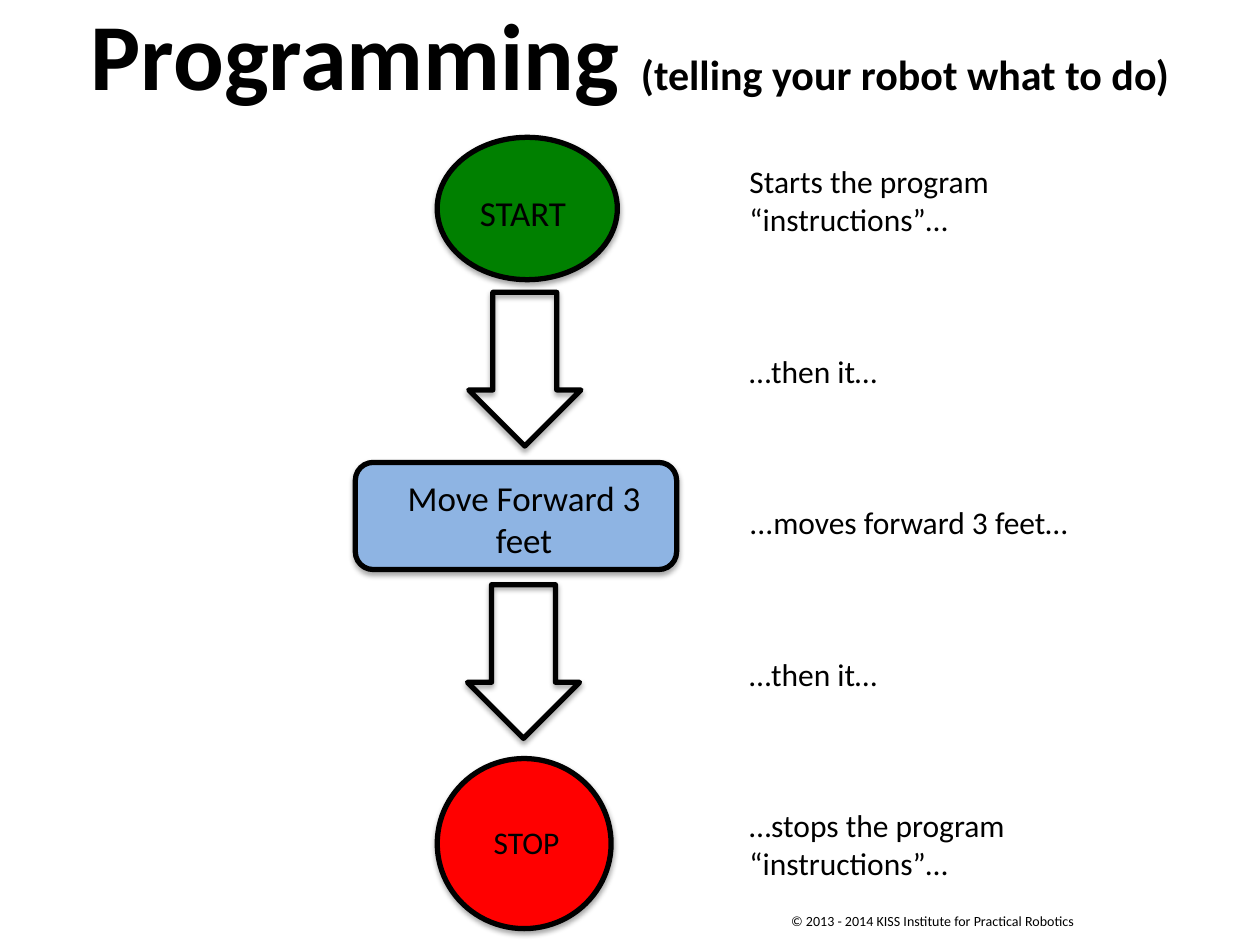
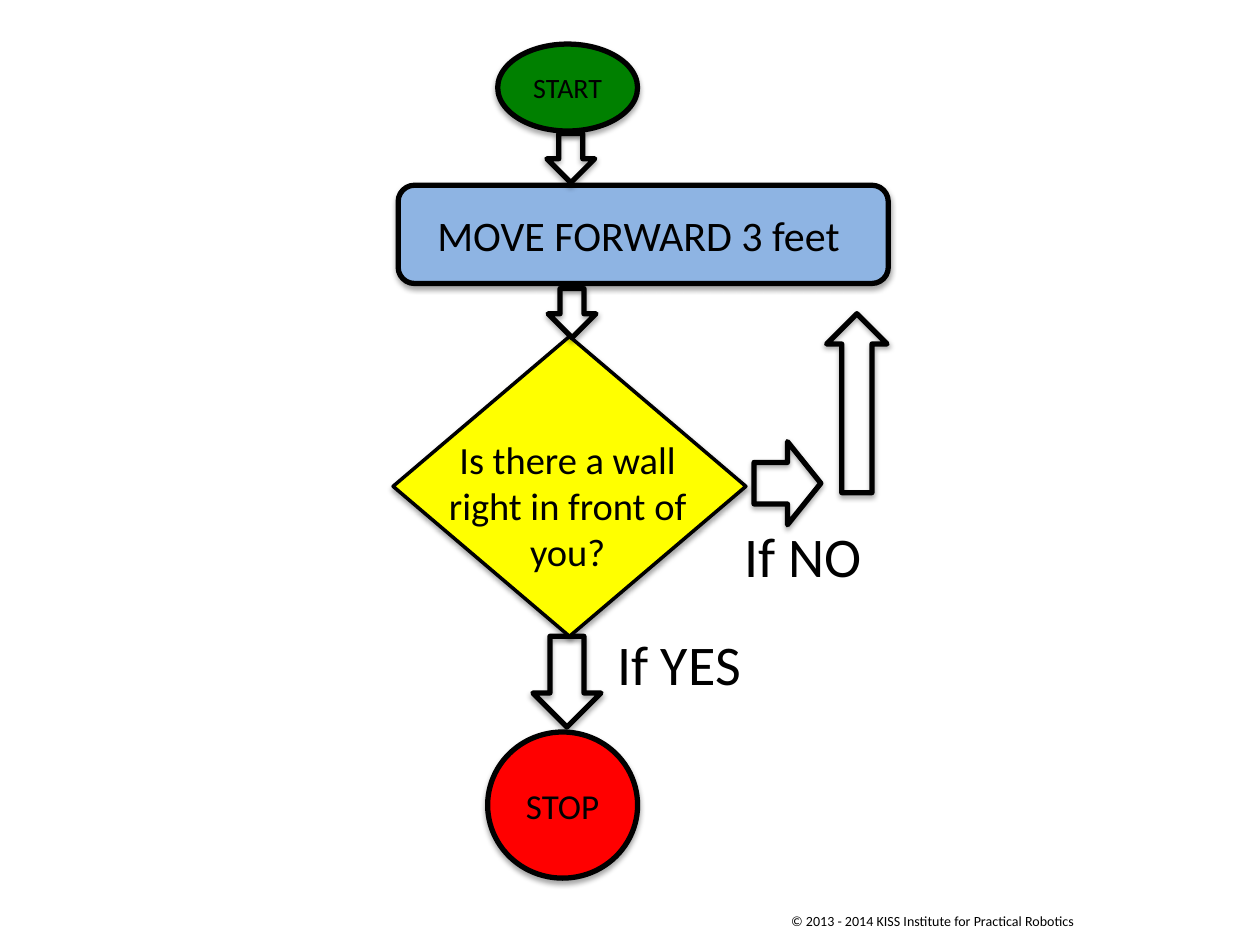
from dataclasses import dataclass
from typing import Optional

from lxml.etree import SubElement
from pptx import Presentation
from pptx.dml.color import RGBColor
from pptx.enum.shapes import MSO_SHAPE as Preset
from pptx.enum.text import MSO_ANCHOR as Anchor, MSO_AUTO_SIZE as AutoSize, PP_ALIGN as Align
from pptx.oxml.ns import qn
from pptx.slide import Slide
from pptx.util import Inches, Pt

Frame = tuple[float, float, float, float]


@dataclass(frozen=True)
class Theme:
    font: str = "Calibri"
    ink: RGBColor = RGBColor(0, 0, 0)
    start: RGBColor = RGBColor(0, 0x80, 0)
    stop: RGBColor = RGBColor(0xFF, 0, 0)
    action: RGBColor = RGBColor(0x8E, 0xB4, 0xE3)
    decision: RGBColor = RGBColor(0xFF, 0xFF, 0)
    title: int = 54
    subtitle: int = 24
    branch: int = 32
    wide_action: int = 24
    question: int = 22
    step: int = 20
    body: int = 18
    small_step: int = 16
    footer: int = 8
    outline: int = 3
    thin_outline: int = 2


THEME = Theme()


@dataclass(frozen=True)
class Node:
    """A flowchart symbol; its text, if any, is centred inside it."""
    preset: Preset
    frame: Frame
    fill: RGBColor
    text: str = ""
    size: int = THEME.step
    outline: int = THEME.outline


@dataclass(frozen=True)
class Arrow:
    frame: Frame
    rotation: int = 0
    shaft: float = 0.5


@dataclass(frozen=True)
class Label:
    """Free text, one paragraph for each line, `gap` points apart."""
    frame: Frame
    lines: tuple[str, ...]
    size: int
    align: Align = Align.LEFT
    wrap: bool = True
    gap: int = 0


FOOTER = Label((6.18, 7.19, 2.49, 0.24),
               ("© 2013 - 2014 KISS Institute for Practical Robotics",),
               THEME.footer, wrap=False)

SEQUENCE = (
    Node(Preset.OVAL, (3.47, 1.09, 1.43, 1.13), THEME.start),
    Label((3.71, 1.47, 1.06, 0.44), ("START",), THEME.step),
    Node(Preset.OVAL, (3.47, 6.02, 1.38, 1.35), THEME.stop),
    Label((3.82, 6.48, 1.03, 0.4), ("STOP",), THEME.body),
    Node(Preset.ROUNDED_RECTANGLE, (2.82, 3.67, 2.55, 0.85), THEME.action),
    Label((2.96, 3.73, 2.4, 0.77), ("Move Forward 3 feet",), THEME.step, Align.CENTER),
    Arrow((3.72, 2.32, 0.89, 1.22), shaft=0.57),
    Arrow((3.71, 4.64, 0.89, 1.22), shaft=0.57),
    Label((5.85, 1.24, 2.96, 5.86),
          ("Starts the program “instructions”…", "…then it…",
           "...moves forward 3 feet…", "…then it…",
           "…stops the program “instructions”…"),
          THEME.body, gap=65),
)

DECISION = (
    Arrow((4.23, 5.05, 0.54, 0.72)),
    Arrow((5.92, 3.57, 0.66, 0.53), rotation=270),
    Label((4.8, 4.95, 1.41, 0.64), ("If YES",), THEME.branch),
    Label((5.81, 4.09, 1.41, 0.64), ("If NO",), THEME.branch),
    Node(Preset.ROUNDED_RECTANGLE, (3.16, 1.47, 3.89, 0.78), THEME.action,
         "MOVE FORWARD 3 feet ", THEME.wide_action),
    Node(Preset.OVAL, (3.87, 5.81, 1.19, 1.16), THEME.stop, "STOP"),
    Arrow((6.56, 2.49, 0.48, 1.42), rotation=180),
    Node(Preset.DIAMOND, (3.12, 2.67, 2.8, 2.38), THEME.decision,
         outline=THEME.thin_outline),
    Label((3.36, 3.41, 2.29, 1.27), ("Is there a wall right in front of you?",),
          THEME.question, Align.CENTER),
    Arrow((4.35, 2.29, 0.38, 0.39)),
    Arrow((4.34, 1.06, 0.38, 0.39)),
    Node(Preset.OVAL, (3.95, 0.35, 1.11, 0.69), THEME.start, "START", THEME.small_step),
)


def style_font(font, size: int, bold: bool = False) -> None:
    font.name = THEME.font
    font.size = Pt(size)
    font.bold = bold
    font.color.rgb = THEME.ink


def add_shadow(shape) -> None:
    """Give the shape a soft shadow straight below it."""
    shape.shadow.inherit = False
    effects = shape._element.spPr.find(qn("a:effectLst"))
    shadow = SubElement(effects, qn("a:outerShdw"), blurRad=str(Pt(3.1)),
                        dist=str(Pt(1.8)), dir="5400000", rotWithShape="0")
    color = SubElement(shadow, qn("a:srgbClr"), val=str(THEME.ink))
    SubElement(color, qn("a:alpha"), val="35000")


def add_symbol(page: Slide, preset: Preset, frame: Frame,
               fill: Optional[RGBColor], outline: int):
    shape = page.shapes.add_shape(preset, *map(Inches, frame))
    if fill is None:
        shape.fill.background()
    else:
        shape.fill.solid()
        shape.fill.fore_color.rgb = fill
    shape.line.color.rgb = THEME.ink
    shape.line.width = Pt(outline)
    add_shadow(shape)
    return shape


def add_node(page: Slide, node: Node) -> None:
    shape = add_symbol(page, node.preset, node.frame, node.fill, node.outline)
    if node.text:
        shape.text_frame.vertical_anchor = Anchor.MIDDLE
        para = shape.text_frame.paragraphs[0]
        para.text = node.text
        para.alignment = Align.CENTER
        style_font(para.font, node.size)


def add_arrow(page: Slide, arrow: Arrow) -> None:
    shape = add_symbol(page, Preset.DOWN_ARROW, arrow.frame, None, THEME.outline)
    shape.adjustments[0] = arrow.shaft
    shape.rotation = arrow.rotation


def add_text_frame(page: Slide, frame: Frame, wrap: bool):
    text_frame = page.shapes.add_textbox(*map(Inches, frame)).text_frame
    text_frame.word_wrap = wrap
    text_frame.auto_size = AutoSize.SHAPE_TO_FIT_TEXT
    return text_frame


def add_label(page: Slide, label: Label) -> None:
    text_frame = add_text_frame(page, label.frame, label.wrap)
    for index, line in enumerate(label.lines):
        para = text_frame.add_paragraph() if index else text_frame.paragraphs[0]
        para.text = line
        para.alignment = label.align
        if index and label.gap:
            para.space_before = Pt(label.gap)
        style_font(para.font, label.size)


def add_title(page: Slide, title: str, subtitle: str) -> None:
    para = add_text_frame(page, (0.55, -0.08, 8.9, 1.01), wrap=False).paragraphs[0]
    para.alignment = Align.CENTER
    for text, size in ((title, THEME.title), (subtitle, THEME.subtitle)):
        span = para.add_run()
        span.text = text
        style_font(span.font, size, bold=True)


DRAWERS = {Node: add_node, Arrow: add_arrow, Label: add_label}


def add_page(deck, parts: tuple) -> Slide:
    page = deck.slides.add_slide(deck.slide_layouts[6])
    for part in (FOOTER, *parts):
        DRAWERS[type(part)](page, part)
    return page


def main() -> None:
    deck = Presentation()
    deck.slide_width, deck.slide_height = Inches(10), Inches(7.5)
    sequence_page = add_page(deck, SEQUENCE)
    add_title(sequence_page, "Programming ", "(telling your robot what to do)")
    add_page(deck, DECISION)
    deck.save("out.pptx")


if __name__ == "__main__":
    main()
